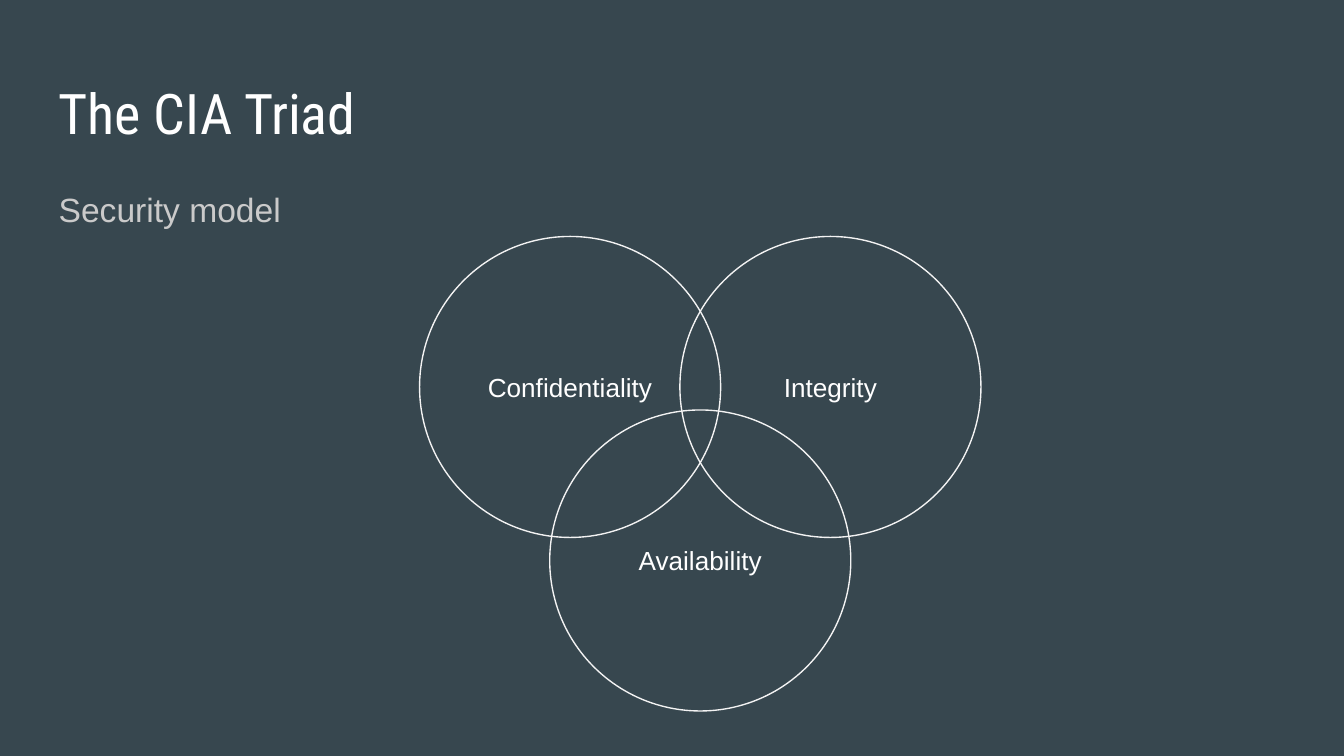
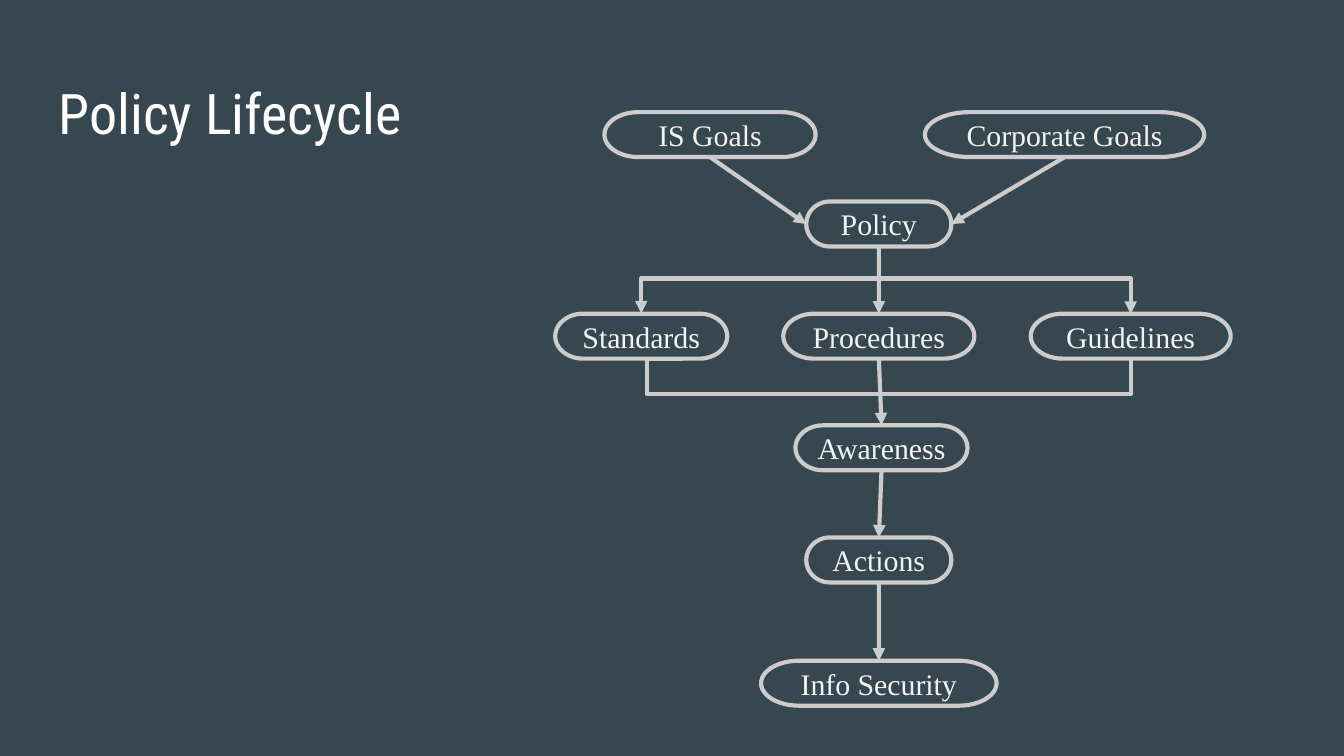
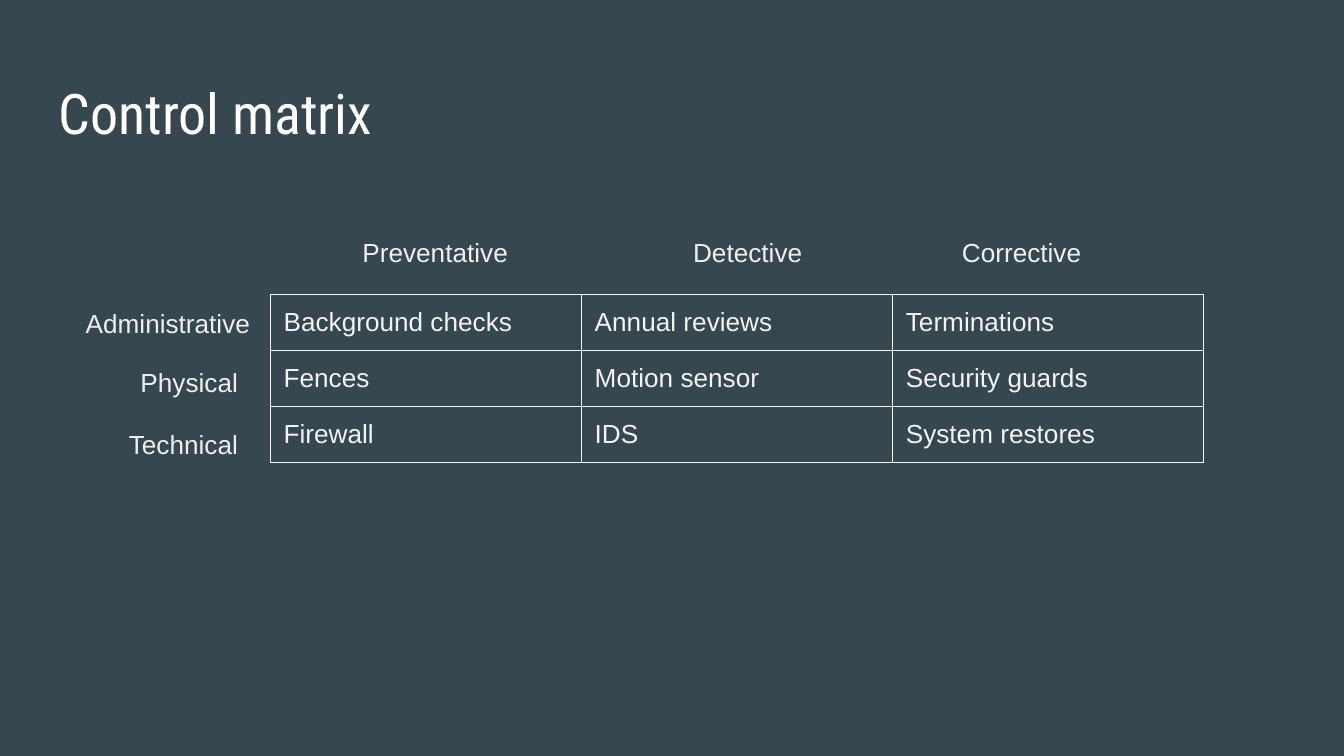
from lxml import etree
from pptx import Presentation
from pptx import util as u
from pptx.dml.color import RGBColor
from pptx.enum import shapes, text
from pptx.oxml.ns import qn

# Shared look
BACKGROUND = "37474F"
WHITE = "FFFFFF"
PALE = "F3F3F3"
LABEL = "EFEFEF"
FLOW_LINE = "CCCCCC"
MUTED = "CACACA"
HEADING_FONT = "Roboto Condensed"
BODY_FONT = "Arial"
FLOW_FONT = "Times New Roman"
INSET = 0.25
NODE_HEIGHT = 0.85
TOP, BOTTOM, LEFT, RIGHT = 0, 2, 1, 3  # connection sites of a terminator


def color(hex_value):
    return RGBColor.from_string(hex_value)


def box(*lengths):
    return [u.Cm(length) for length in lengths]


def write(target, content, size=14, font=BODY_FONT, fill=LABEL, align="LEFT",
          anchor="TOP", inset_y=INSET, spacing=None):
    """Put one formatted paragraph into a shape or a table cell."""
    frame = target.text_frame
    if hasattr(frame, "auto_size"):
        frame.auto_size = text.MSO_AUTO_SIZE.NONE
    frame.word_wrap = True
    frame.vertical_anchor = text.MSO_ANCHOR[anchor]
    frame.margin_left = frame.margin_right = u.Cm(INSET)
    frame.margin_top = frame.margin_bottom = u.Cm(inset_y)
    paragraph = frame.paragraphs[0]
    paragraph.alignment = text.PP_ALIGN[align]
    if spacing:
        paragraph.line_spacing = spacing
    run = paragraph.add_run()
    run.text = content
    run.font.size = u.Pt(size)
    run.font.name = font
    run.font.color.rgb = color(fill)


def titled_slide(prs, heading, width=23.67):
    slide = prs.slides.add_slide(prs.slide_layouts[5])
    title = slide.shapes.title
    title.left, title.top, title.width, title.height = box(0.86, 1.24, width, 1.6)
    write(title, heading, size=30, font=HEADING_FONT, fill=WHITE)
    return slide


def label(slide, content, left, top, width, height=1.32, **style):
    write(slide.shapes.add_textbox(*box(left, top, width, height)), content, **style)


def outline(slide, preset, bounds, stroke, weight, content, **style):
    """Unfilled shape with centred text."""
    shape = slide.shapes.add_shape(preset, *box(*bounds))
    shape.shadow.inherit = False
    shape.fill.background()
    shape.line.color.rgb = color(stroke)
    shape.line.width = u.Pt(weight)
    write(shape, content, align="CENTER", anchor="MIDDLE", **style)
    return shape


def style_connector(connector, head=False, tail=False):
    connector.line.color.rgb = color(FLOW_LINE)
    connector.line.width = u.Pt(2.25)
    properties = connector._element.spPr
    stroke = properties.find(qn("a:ln"))
    for end, wanted in (("a:headEnd", head), ("a:tailEnd", tail)):
        if wanted:
            etree.SubElement(stroke, qn(end), type="triangle")
    etree.SubElement(properties, qn("a:effectLst"))


def arrow(slide, source, source_site, target, target_site):
    connector = slide.shapes.add_connector(shapes.MSO_CONNECTOR.STRAIGHT, 0, 0, 0, 0)
    connector.begin_connect(source, source_site)
    connector.end_connect(target, target_site)
    style_connector(connector, tail=True)


def elbow(slide, preset, bounds, bends, turn=None, **ends):
    """Bent connector; bends are fractions of its width and height."""
    left, top, width, height = bounds
    connector = slide.shapes.add_connector(
        shapes.MSO_CONNECTOR.ELBOW, *box(left, top, left + width, top + height))
    properties = connector._element.spPr
    if turn:
        frame = properties.find(qn("a:xfrm"))
        frame.set("rot", str(turn * 60000))
        frame.set("flipH", "1")
    geometry = properties.find(qn("a:prstGeom"))
    geometry.set("prst", preset)
    guides = geometry.find(qn("a:avLst"))
    for number, bend in enumerate(bends, 1):
        etree.SubElement(guides, qn("a:gd"), name=f"adj{number}",
                         fmla=f"val {round(bend * 100000)}")
    style_connector(connector, **ends)


def border_cell(cell):
    properties = cell._tc.get_or_add_tcPr()
    for position, side in enumerate(("a:lnL", "a:lnR", "a:lnT", "a:lnB")):
        edge = etree.Element(qn(side), w=str(u.Pt(0.75)))
        paint = etree.SubElement(edge, qn("a:solidFill"))
        etree.SubElement(paint, qn("a:srgbClr"), val=PALE)
        properties.insert(position, edge)


def triad_slide(prs):
    slide = titled_slide(prs, "The CIA Triad")
    label(slide, "Security model", 0.86, 3.2, 23.67, 0.97, size=18, fill=MUTED,
          spacing=1.15)
    # Venn circles around a common middle
    diameter, middle, offset = 5.69, 10.39, 2.46
    for name, left, top in (("Confidentiality", middle - offset, 4.47),
                            ("Integrity", middle + offset, 4.47),
                            ("Availability", middle, 7.75)):
        outline(slide, shapes.MSO_SHAPE.OVAL, (left, top, diameter, diameter),
                PALE, 0.75, name, fill=WHITE)


def lifecycle_slide(prs):
    slide = titled_slide(prs, "Policy Lifecycle", width=7.52)
    # Steps: name, centre, top, width
    axis, level = 16.61, 5.93
    standards_x, guidelines_x = 12.12, 21.37
    steps = {}
    for name, center, top, width in (
            ("IS Goals", 13.42, 2.12, 3.99),
            ("Corporate Goals", 20.12, 2.12, 5.28),
            ("Policy", axis, 3.81, 2.74),
            ("Standards", standards_x, level, 3.25),
            ("Procedures", axis, level, 3.61),
            ("Guidelines", guidelines_x, level, 3.78),
            ("Awareness", 16.66, 8.04, 3.25),
            ("Actions", axis, 10.16, 2.74),
            ("Info Security", axis, 12.49, 4.45)):
        steps[name] = outline(
            slide, shapes.MSO_SHAPE.FLOWCHART_TERMINATOR,
            (center - width / 2, top, width, NODE_HEIGHT), FLOW_LINE, 2.25, name,
            size=16, font=FLOW_FONT, fill=PALE, inset_y=0.13)

    # Goals feed the policy, then the chain runs downwards
    arrow(slide, steps["IS Goals"], BOTTOM, steps["Policy"], LEFT)
    arrow(slide, steps["Corporate Goals"], BOTTOM, steps["Policy"], RIGHT)
    chain = ("Policy", "Procedures", "Awareness", "Actions", "Info Security")
    for source, target in zip(chain, chain[1:]):
        arrow(slide, steps[source], BOTTOM, steps[target], TOP)

    # Brackets above and below the three documents
    thin, drop = 0.01, 0.66
    span = guidelines_x - standards_x
    elbow(slide, "bentConnector3",
          ((standards_x + guidelines_x - thin) / 2, level - span / 2, thin, span),
          [-drop / thin], turn=270, head=True, tail=True)
    start = 12.9
    elbow(slide, "bentConnector4",
          (start, level + NODE_HEIGHT, guidelines_x - start, thin),
          [-0.08, (drop + 0.01) / thin])


def matrix_slide(prs):
    slide = titled_slide(prs, "Control matrix")
    controls = (("Background checks", "Annual reviews", "Terminations"),
                ("Fences", "Motion sensor", "Security guards"),
                ("Firewall", "IDS", "System restores"))
    column_width, row_height = 5.88, 1.06
    frame = slide.shapes.add_table(
        3, 3, *box(5.11, 5.56, 3 * column_width, 3 * row_height))
    table = frame.table
    table.first_row = table.horz_banding = False
    for column in table.columns:
        column.width = u.Cm(column_width)
    for row, names in zip(table.rows, controls):
        row.height = u.Cm(row_height)
        for cell, name in zip(row.cells, names):
            cell.fill.background()
            border_cell(cell)
            cell.margin_left = cell.margin_right = u.Cm(INSET)
            cell.margin_top = cell.margin_bottom = u.Cm(INSET)
            write_cell(cell, name)

    # Column and row labels
    for name, left in (("Preventative", 6.6), ("Detective", 12.85), ("Corrective", 17.93)):
        label(slide, name, left, 4.22, 3.61)
    for name, left, top, width in (("Administrative", 0.74, 5.56, 4.24),
                                   ("Physical", 1.14, 6.68, 3.61),
                                   ("Technical", 1.14, 7.85, 3.61)):
        label(slide, name, left, top, width, align="RIGHT")


def write_cell(cell, content):
    run = cell.text_frame.paragraphs[0].add_run()
    run.text = content
    run.font.size = u.Pt(14)
    run.font.name = BODY_FONT
    run.font.color.rgb = color(PALE)


def main():
    prs = Presentation()
    prs.slide_width, prs.slide_height = box(25.4, 14.29)
    backdrop = prs.slide_master.background.fill
    backdrop.solid()
    backdrop.fore_color.rgb = color(BACKGROUND)
    triad_slide(prs)
    lifecycle_slide(prs)
    matrix_slide(prs)
    prs.save("out.pptx")


if __name__ == "__main__":
    main()
